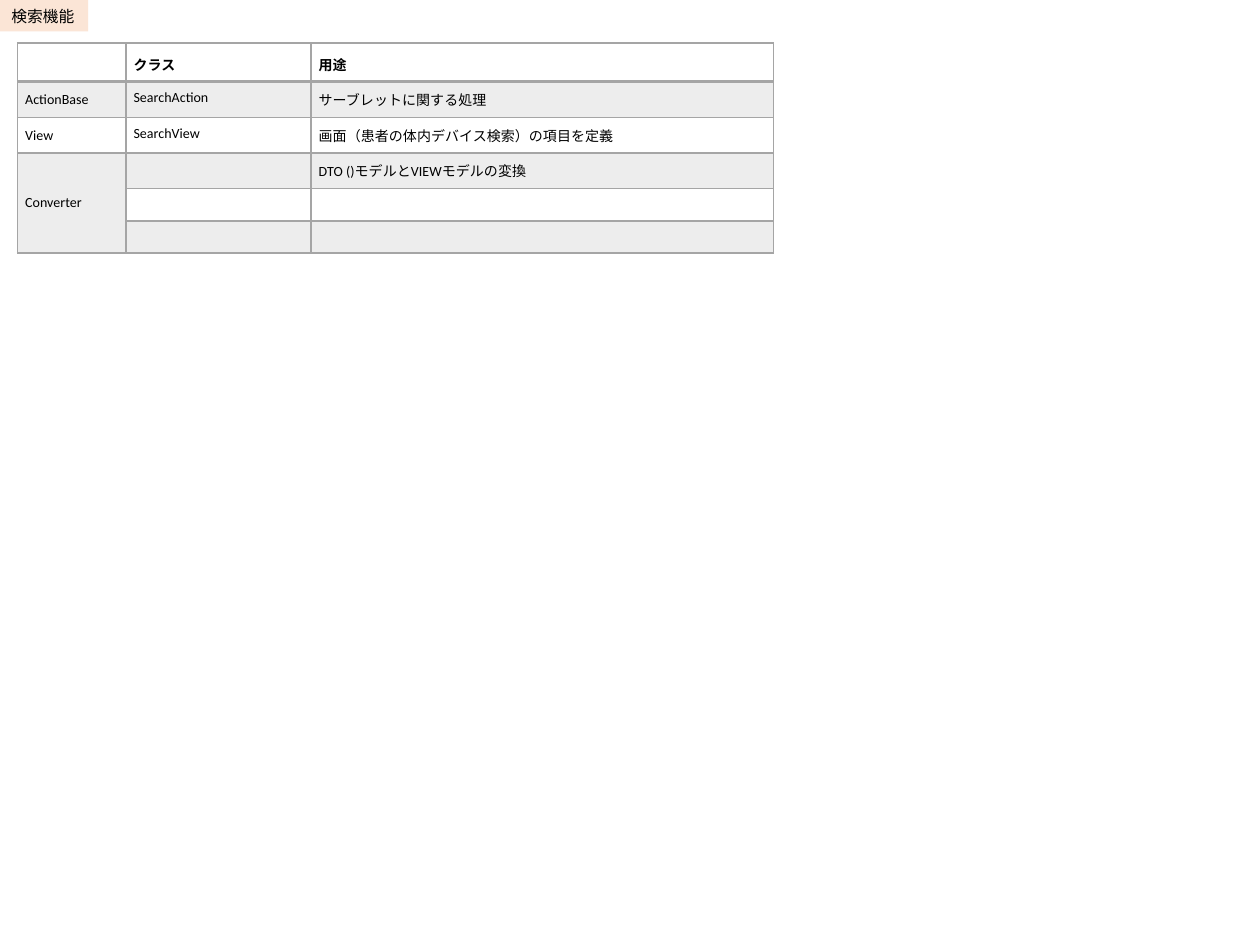
from lxml.etree import SubElement
from pptx import Presentation
from pptx.dml.color import RGBColor
from pptx.enum.text import MSO_ANCHOR, MSO_AUTO_SIZE, PP_ALIGN
from pptx.oxml.ns import qn
from pptx.util import Inches, Pt

COLORS = {"text": "000000", "label": "FBE5D6", "grid": "A5A5A5"}
FONT = "Calibri"
BAND_OPACITY = 20
COLUMN_WIDTHS = [0.86, 1.47, 3.67]
ROW_HEIGHTS = [0.31, 0.28, 0.28, 0.27, 0.25, 0.25]
ROWS = [
    ["", "クラス", "用途"],
    ["ActionBase", "SearchAction", "サーブレットに関する処理"],
    ["View", "SearchView", "画面（患者の体内デバイス検索）の項目を定義"],
    ["Converter", "", "DTO ()モデルとVIEWモデルの変換"],
    ["", "", ""],
    ["", "", ""],
]


def color(name):
    return RGBColor.from_string(COLORS[name])


def format_paragraph(paragraph, size, bold=False):
    paragraph.alignment = PP_ALIGN.LEFT
    font = paragraph.font
    font.name, font.size, font.bold = FONT, Pt(size), bold
    font.color.rgb = color("text")


def add_label(slide, text):
    label = slide.shapes.title
    label.left, label.top = Inches(-0.01), Inches(0)
    label.width, label.height = Inches(0.71), Inches(0.25)
    label.fill.solid()
    label.fill.fore_color.rgb = color("label")
    frame = label.text_frame
    frame.text = text
    frame.auto_size = MSO_AUTO_SIZE.NONE
    frame.word_wrap = True
    frame.margin_left, frame.margin_right = Inches(0.1), Inches(0)
    frame.margin_top = frame.margin_bottom = Inches(0)
    frame.vertical_anchor = MSO_ANCHOR.MIDDLE
    format_paragraph(frame.paragraphs[0], 9)


def set_borders(cell, bottom_width):
    properties = cell._tc.get_or_add_tcPr()
    for side, width in (("L", 1), ("R", 1), ("T", 1), ("B", bottom_width)):
        line = SubElement(properties, qn(f"a:ln{side}"), w=str(Pt(width)))
        fill = SubElement(line, qn("a:solidFill"))
        SubElement(fill, qn("a:srgbClr"), val=COLORS["grid"])


def fill_band(cell):
    """Fill with the grid colour, mostly transparent."""
    cell.fill.solid()
    cell.fill.fore_color.rgb = color("grid")
    tint = cell._tc.tcPr.find(qn("a:solidFill")).find(qn("a:srgbClr"))
    SubElement(tint, qn("a:alpha"), val=str(BAND_OPACITY * 1000))


def format_cell(cell, text, row, column):
    header = row == 0
    cell.margin_left = cell.margin_right = Inches(0.06)
    cell.margin_top = cell.margin_bottom = Inches(0.06)
    if header:
        cell.vertical_anchor = MSO_ANCHOR.BOTTOM
    else:
        cell.vertical_anchor = MSO_ANCHOR.MIDDLE if column == 0 else MSO_ANCHOR.TOP
    set_borders(cell, 2 if header else 1)
    if row % 2:
        fill_band(cell)
    else:
        cell.fill.background()
    paragraph = cell.text_frame.paragraphs[0]
    if text:
        paragraph.text = text
    format_paragraph(paragraph, 8, header)
    if not text:
        SubElement(paragraph._p, qn("a:endParaRPr"), sz="800")


def add_class_table(slide):
    frame = slide.shapes.add_table(
        len(ROWS), len(COLUMN_WIDTHS), Inches(0.14), Inches(0.34),
        Inches(sum(COLUMN_WIDTHS)), Inches(sum(ROW_HEIGHTS)))
    table = frame.table
    table.first_row = table.horz_banding = False
    for column, width in zip(table.columns, COLUMN_WIDTHS):
        column.width = Inches(width)
    for row, height in zip(table.rows, ROW_HEIGHTS):
        row.height = Inches(height)
    for row, texts in enumerate(ROWS):
        for column, text in enumerate(texts):
            format_cell(table.cell(row, column), text, row, column)
    table.cell(3, 0).merge(table.cell(5, 0))


def main():
    presentation = Presentation()
    presentation.slide_width, presentation.slide_height = Inches(10), Inches(7.5)
    slide = presentation.slides.add_slide(presentation.slide_layouts[5])
    add_class_table(slide)
    add_label(slide, "検索機能")
    presentation.save("out.pptx")


if __name__ == "__main__":
    main()
